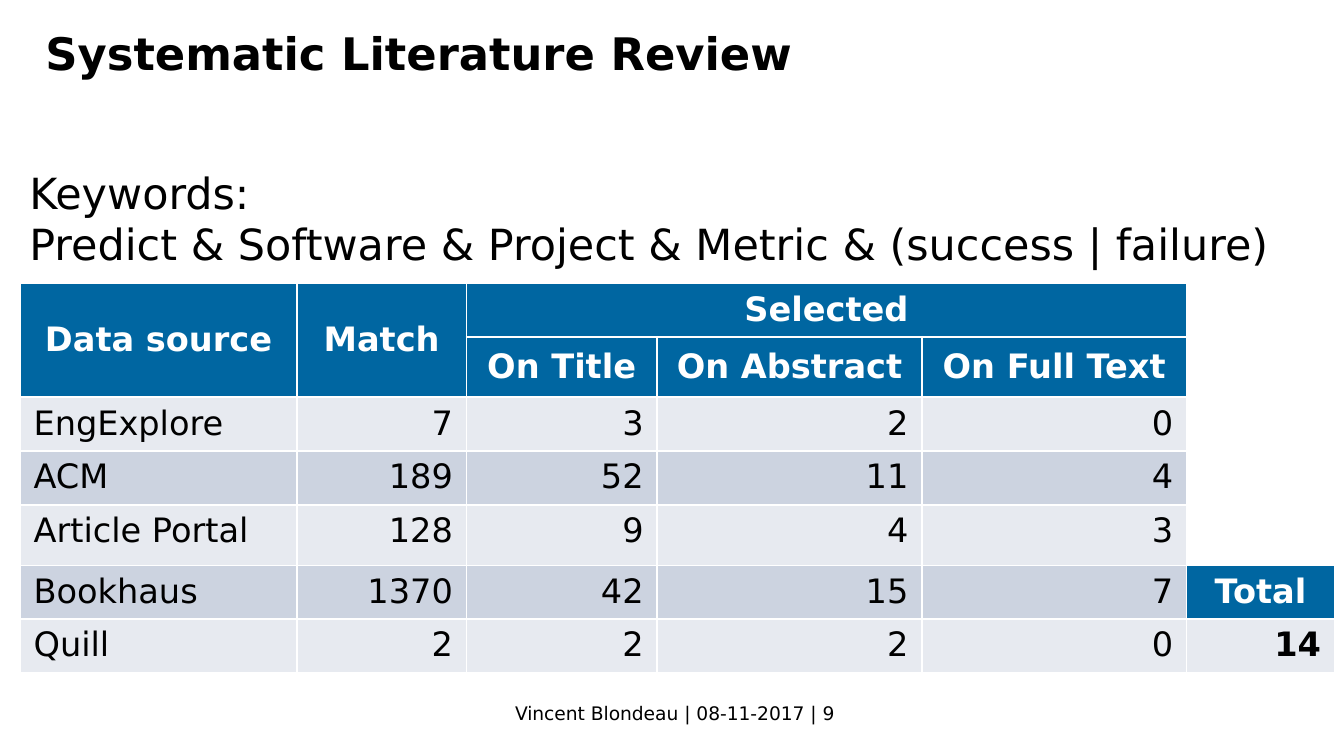
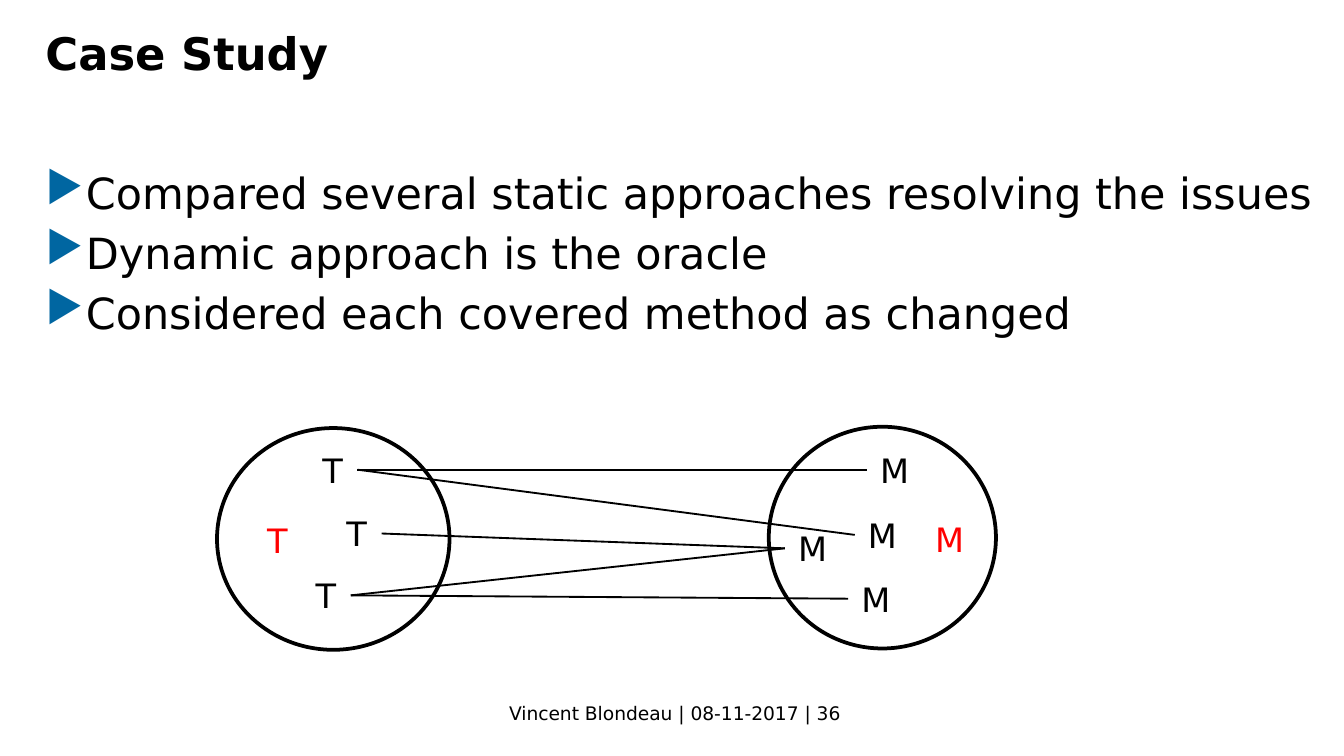
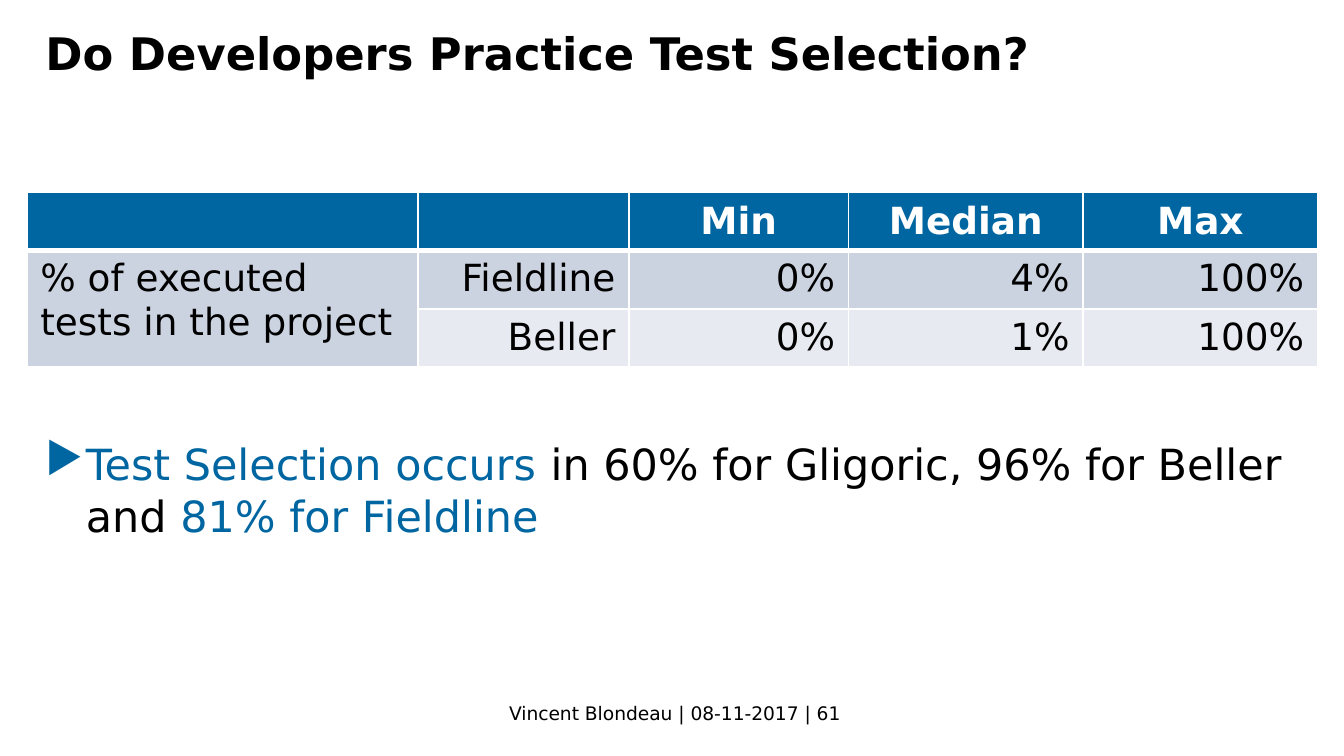
from dataclasses import dataclass
from typing import NamedTuple

from lxml.etree import SubElement
from pptx import Presentation
from pptx.dml.color import RGBColor
from pptx.enum.shapes import MSO_CONNECTOR as Connector, MSO_SHAPE as Preset
from pptx.enum.text import MSO_ANCHOR as Anchor, MSO_AUTO_SIZE as AutoSize, PP_ALIGN as Align
from pptx.oxml.ns import qn
from pptx.util import Emu, Pt

PX = 4572
FONT = "DejaVu Sans"
BLACK = RGBColor(0x00, 0x00, 0x00)
WHITE = RGBColor(0xFF, 0xFF, 0xFF)
RED = RGBColor(0xFF, 0x00, 0x00)
BLUE = RGBColor(0x00, 0x66, 0xA1)
PALE = RGBColor(0xE7, 0xEA, 0xF0)
GREY = RGBColor(0xCC, 0xD3, 0xE0)
BODY_SIZE = 23
INDENT = 60


class Area(NamedTuple):
    left: int
    top: int
    width: int
    height: int


class Span(NamedTuple):
    text: str
    color: RGBColor = BLACK


class Merge(NamedTuple):
    row: int
    column: int
    last_row: int
    last_column: int


@dataclass(frozen=True)
class Mark:
    text: str
    left: int
    top: int
    color: RGBColor = BLACK

    @property
    def area(self) -> Area:
        return Area(self.left, self.top, 72 if self.text == "T" else 82, 81)


@dataclass(frozen=True)
class Grid:
    left: int
    top: int
    columns: list[int]
    rows: list[int]
    cells: list[list[str | None]]
    merges: list[Merge]
    size: int
    header_rows: int
    header_rule: int = 1
    header_labels: tuple[str, ...] = ()
    bold_labels: tuple[str, ...] = ()


def px(length: int) -> Emu:
    return Emu(length * PX)


def place(area: Area) -> list[Emu]:
    return [px(length) for length in area]


def add_span(para, text: str, size: int, color: RGBColor = BLACK, bold: bool = False) -> None:
    font_run = para.add_run()
    font_run.text = text
    font = font_run.font
    font.name, font.size, font.bold = FONT, Pt(size), bold
    font.color.rgb = color


def add_box(page, area: Area, wrap: bool = True):
    frame = page.shapes.add_textbox(*place(area)).text_frame
    frame.word_wrap = wrap
    frame.auto_size = AutoSize.NONE if wrap else AutoSize.SHAPE_TO_FIT_TEXT
    return frame


def add_page(deck, title: str, number: int):
    page = deck.slides.add_slide(deck.slide_layouts[6])
    footer = add_box(page, Area(715, 1035, 578, 54), wrap=False).paragraphs[0]
    footer.alignment = Align.CENTER
    add_span(footer, f"Vincent Blondeau | 08-11-2017 | {number}", 10)
    heading = add_box(page, Area(48, 28, 1914, 158)).paragraphs[0]
    add_span(heading, title, 24, bold=True)
    return page


def add_bullet(para) -> None:
    properties = para._p.get_or_add_pPr()
    properties.set("marL", str(px(INDENT)))
    properties.set("indent", str(-px(INDENT)))
    color = SubElement(properties, qn("a:buClr"))
    SubElement(color, qn("a:srgbClr"), val=str(BLUE))
    SubElement(properties, qn("a:buChar"), char="▶")


def add_bullets(page, area: Area, items: list[list[Span]]) -> None:
    frame = add_box(page, area)
    for index, spans in enumerate(items):
        para = frame.add_paragraph() if index else frame.paragraphs[0]
        add_bullet(para)
        if index:
            para.space_before = Pt(4.6)
        for span in spans:
            add_span(para, span.text, BODY_SIZE, span.color)


def add_borders(cell, bottom: int) -> None:
    properties = cell._tc.get_or_add_tcPr()
    for side, width in (("L", 1), ("R", 1), ("T", 1), ("B", bottom)):
        line = SubElement(properties, qn(f"a:ln{side}"), w=str(Pt(width)))
        fill = SubElement(line, qn("a:solidFill"))
        SubElement(fill, qn("a:srgbClr"), val=str(WHITE))


def fill_cell(cell, text: str | None, row: int, column: int, grid: Grid) -> None:
    top_header = row < grid.header_rows
    header = top_header or text in grid.header_labels
    if text is None:
        add_borders(cell, 1)
        cell.fill.background()
        return
    if top_header and grid.header_rule > 1:
        add_borders(cell, grid.header_rule)
    cell.fill.solid()
    cell.fill.fore_color.rgb = BLUE if header else GREY if row % 2 else PALE
    if top_header:
        cell.vertical_anchor = Anchor.MIDDLE
    if text:
        para = cell.text_frame.paragraphs[0]
        para.alignment = Align.CENTER if header else Align.RIGHT if column else Align.LEFT
        add_span(para, text, grid.size, WHITE if header else BLACK,
                 header or text in grid.bold_labels)


def add_grid(page, grid: Grid) -> None:
    area = Area(grid.left, grid.top, sum(grid.columns), sum(grid.rows))
    table = page.shapes.add_table(len(grid.rows), len(grid.columns), *place(area)).table
    table.first_row = table.horz_banding = False
    for column, width in zip(table.columns, grid.columns):
        column.width = px(width)
    for row, height in zip(table.rows, grid.rows):
        row.height = px(height)
    for row, texts in enumerate(grid.cells):
        for column, text in enumerate(texts):
            fill_cell(table.cell(row, column), text, row, column, grid)
    for merge in grid.merges:
        table.cell(merge.row, merge.column).merge(
            table.cell(merge.last_row, merge.last_column))


def add_circle(page, area: Area) -> None:
    circle = page.shapes.add_shape(Preset.OVAL, *place(area))
    circle.shadow.inherit = False
    circle.fill.solid()
    circle.fill.fore_color.rgb = WHITE
    circle.line.color.rgb = BLACK
    circle.line.width = Pt(2)


def add_mark(page, mark: Mark) -> None:
    para = add_box(page, mark.area, wrap=False).paragraphs[0]
    add_span(para, mark.text, 18, mark.color)


def add_link(page, test: Mark, method: Mark) -> None:
    start, end = test.area, method.area
    link = page.shapes.add_connector(
        Connector.STRAIGHT,
        px(start.left + start.width), px(start.top + start.height // 2),
        px(end.left), px(end.top + end.height // 2))
    link.line.color.rgb = BLACK
    link.line.width = Pt(1)
    SubElement(link._element.spPr, qn("a:effectLst"))


def build_review(deck) -> None:
    page = add_page(deck, "Systematic Literature Review", 9)
    keywords = add_box(page, Area(24, 238, 1952, 760)).paragraphs[0]
    add_span(keywords, "Keywords:", BODY_SIZE)
    keywords.add_line_break()
    add_span(keywords, "Predict & Software & Project & Metric & (success | failure)", BODY_SIZE)
    add_grid(page, Grid(
        left=30, top=421,
        columns=[412, 252, 284, 394, 394, 220],
        rows=[52, 90, 52, 52, 90, 52, 52],
        cells=[
            ["Data source", "Match", "Selected", "", "", None],
            ["", "", "On Title", "On Abstract", "On Full Text", None],
            ["EngExplore", "7", "3", "2", "0", None],
            ["ACM", "189", "52", "11", "4", None],
            ["Article Portal", "128", "9", "4", "3", None],
            ["Bookhaus", "1370", "42", "15", "7", "Total"],
            ["Quill", "2", "2", "2", "0", "14"],
        ],
        merges=[Merge(0, 0, 1, 0), Merge(0, 1, 1, 1), Merge(0, 2, 0, 4), Merge(0, 5, 4, 5)],
        size=18, header_rows=2, header_labels=("Total",), bold_labels=("14",)))


def build_case_study(deck) -> None:
    page = add_page(deck, "Case Study", 36)
    add_bullets(page, Area(48, 238, 1930, 760), [
        [Span("Compared several static approaches resolving the issues")],
        [Span("Dynamic approach is the oracle")],
        [Span("Considered each covered method as changed")],
    ])
    add_circle(page, Area(323, 637, 346, 330))
    add_circle(page, Area(1144, 635, 338, 330))
    top_test, middle_test, low_test = tests = [
        Mark("T", 460, 659), Mark("T", 496, 754), Mark("T", 450, 846)]
    top_method, middle_method, left_method, low_method = methods = [
        Mark("M", 1290, 659), Mark("M", 1272, 756), Mark("M", 1168, 776), Mark("M", 1262, 851)]
    unlinked = [Mark("T", 378, 764, RED), Mark("M", 1372, 763, RED)]
    for mark in tests + methods + unlinked:
        add_mark(page, mark)
    for test, method in (
        (top_test, top_method),
        (top_test, middle_method),
        (middle_test, left_method),
        (low_test, low_method),
        (low_test, left_method),
    ):
        add_link(page, test, method)


def build_test_selection(deck) -> None:
    page = add_page(deck, "Do Developers Practice Test Selection?", 61)
    add_bullets(page, Area(48, 642, 1914, 314), [[
        Span("Test Selection occurs ", BLUE),
        Span("in 60% for Gligoric, 96% for Beller and "),
        Span("81% for Fieldline", BLUE),
    ]])
    add_grid(page, Grid(
        left=40, top=286,
        columns=[582, 314, 327, 349, 349],
        rows=[78] * 3,
        cells=[
            ["", "", "Min", "Median", "Max"],
            ["% of executed tests in the project", "Fieldline", "0%", "4%", "100%"],
            ["", "Beller", "0%", "1%", "100%"],
        ],
        merges=[Merge(1, 0, 2, 0)],
        size=20, header_rows=1, header_rule=3))


def main() -> None:
    deck = Presentation()
    deck.slide_width, deck.slide_height = px(2000), px(1125)
    build_review(deck)
    build_case_study(deck)
    build_test_selection(deck)
    deck.save("out.pptx")


if __name__ == "__main__":
    main()
